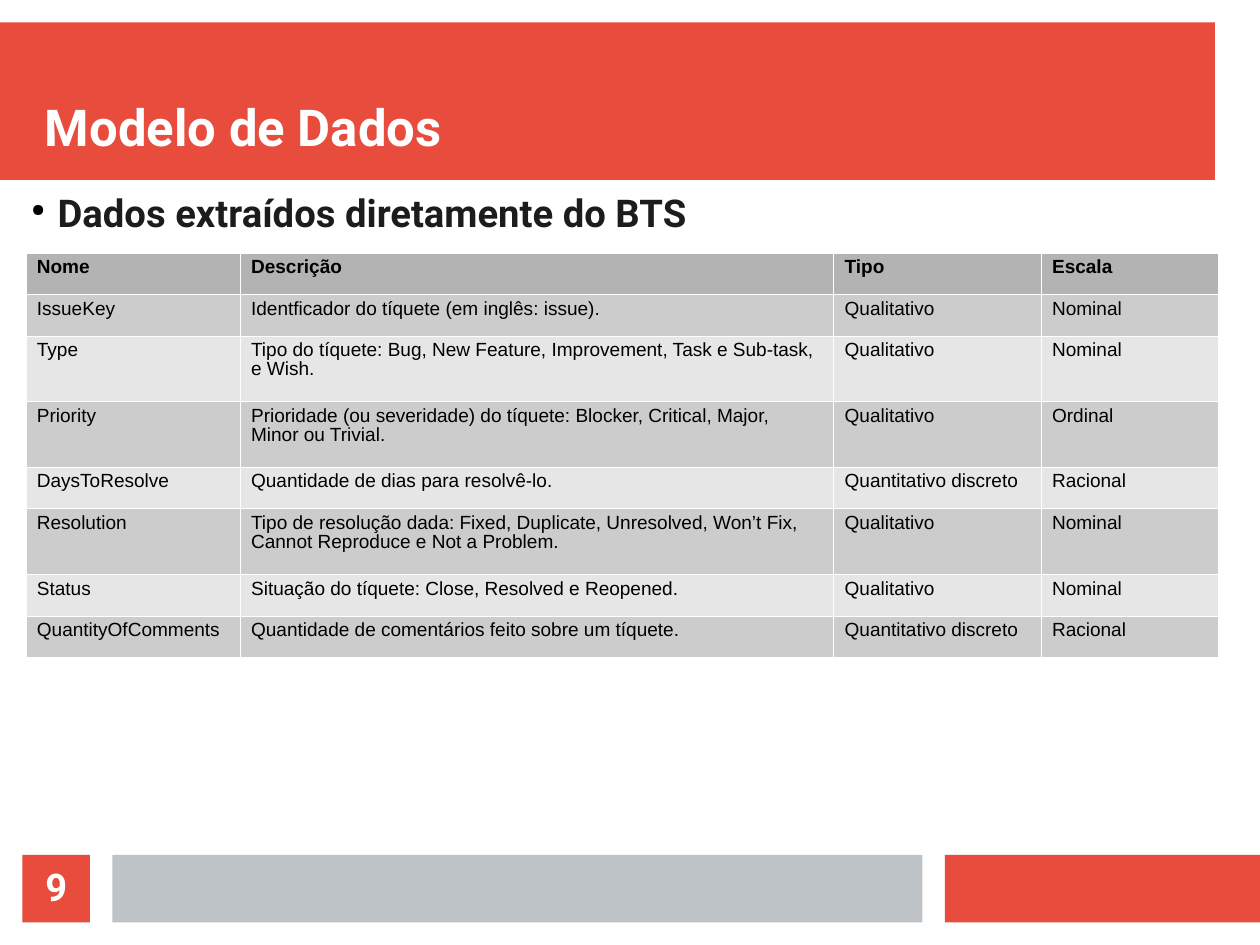
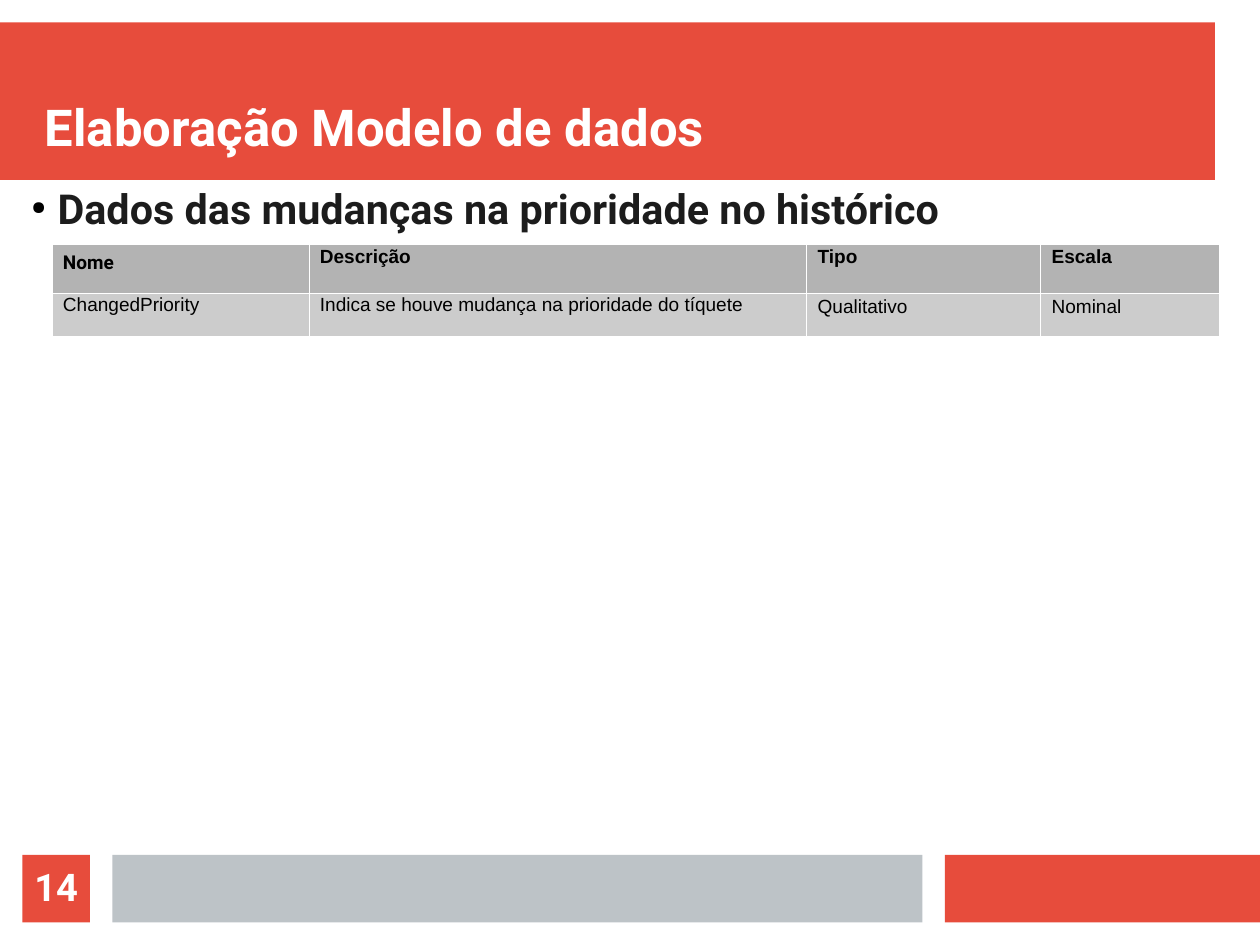
import pptx
import pptx.dml.color
import pptx.enum.shapes
import pptx.enum.text
import pptx.oxml
import pptx.oxml.ns
import pptx.util

Cm, Pt = pptx.util.Cm, pptx.util.Pt
ANCHOR = pptx.enum.text.MSO_ANCHOR
ALIGN = pptx.enum.text.PP_ALIGN

COLORS = {
    "accent": "E74C3C", "footer": "BDC3C7", "white": "FFFFFF",
    "black": "000000", "topic": "1C1C1C",
    "header": "B3B3B3", "odd": "CCCCCC", "even": "E6E6E6",
}
FORMATS = {
    "title": {"name": "Roboto", "size": Pt(32), "bold": True},
    "topic": {"name": "Roboto", "size": Pt(24.1), "bold": True},
    "number": {"name": "Roboto", "size": Pt(24), "bold": True},
    "header": {"name": "Arial", "size": Pt(12), "bold": True},
    "cell": {"name": "Arial", "size": Pt(12), "bold": False},
}


def color(key):
    return pptx.dml.color.RGBColor.from_string(COLORS[key])


def assign(target, values):
    for attribute, value in values.items():
        setattr(target, attribute, value)


def xml(tag, attributes="", inner=""):
    namespace = pptx.oxml.ns.nsdecls("a")
    return pptx.oxml.parse_xml(f"<a:{tag} {namespace} {attributes}>{inner}</a:{tag}>")


class Deck:
    """Holds the shared style and the slide being filled."""

    def __init__(self):
        self.prs = pptx.Presentation()
        assign(self.prs, {"slide_width": Cm(28), "slide_height": Cm(21)})
        self.slide = None

    def start(self, title, number):
        """Begin a slide with its bands, title and number."""
        self.slide = self.prs.slides.add_slide(self.prs.slide_layouts[6])
        self.band(0, 0.5, 27, 3.5, "accent")
        self.band(21, 19, 7, 1.5, "accent")
        self.band(2.5, 19, 18, 1.5, "footer")
        badge = self.band(0.5, 19, 1.5, 1.5, "accent")
        self.frame(badge, ANCHOR.MIDDLE)
        self.text(badge.text_frame, str(number), FORMATS["number"], "white",
                  {"alignment": ALIGN.CENTER, "line_spacing": 0.93})
        heading = self.box(1, 1, 26, 2.5, ANCHOR.BOTTOM)
        self.text(heading, title, FORMATS["title"], "white", {"line_spacing": 0.93})

    def band(self, left, top, width, height, fill):
        band = self.slide.shapes.add_shape(
            pptx.enum.shapes.MSO_SHAPE.RECTANGLE,
            Cm(left), Cm(top), Cm(width), Cm(height))
        band.shadow.inherit = False
        band.fill.solid()
        band.fill.fore_color.rgb = color(fill)
        band.line.fill.background()
        return band

    def frame(self, shape, anchor, top=0):
        assign(shape.text_frame, {
            "word_wrap": True, "vertical_anchor": anchor, "margin_left": 0,
            "margin_right": 0, "margin_top": Cm(top), "margin_bottom": 0})
        return shape.text_frame

    def box(self, left, top, width, height, anchor=ANCHOR.TOP):
        shape = self.slide.shapes.add_textbox(Cm(left), Cm(top), Cm(width), Cm(height))
        return self.frame(shape, anchor, 0.07)

    def text(self, frame, words, font, ink, layout):
        paragraph = frame.paragraphs[0]
        assign(paragraph, layout)
        run = paragraph.add_run()
        run.text = words
        assign(run.font, font)
        run.font.color.rgb = color(ink)

    def topic(self, words, top, height, size, spacing):
        """Add the bulleted line above the table."""
        frame = self.box(0.7, top, 25.5, height)
        properties = frame.paragraphs[0]._p.get_or_add_pPr()
        indent = Cm(0.58)
        properties.set("marL", str(indent))
        properties.set("indent", str(-indent))
        for bullet in (xml("buClr", inner=f'<a:srgbClr val="{COLORS["black"]}"/>'),
                       xml("buSzPct", 'val="45000"'),
                       xml("buChar", 'char="●"')):
            properties.append(bullet)
        self.text(frame, words, {**FORMATS["topic"], "size": Pt(size)}, "topic",
                  {"line_spacing": spacing, "space_after": Pt(11.5)})

    def table(self, left, top, widths, heights, rows, spacing, exceptions=None):
        """Fill a table; exceptions map (row, column) to (font, spacing)."""
        table = self.slide.shapes.add_table(
            len(rows), len(widths), Cm(left), Cm(top),
            Cm(sum(widths)), Cm(sum(heights))).table
        for column, width in zip(table.columns, widths):
            column.width = Cm(width)
        for r, (entries, height) in enumerate(zip(rows, heights)):
            table.rows[r].height = Cm(height)
            fill = "header" if r == 0 else "odd" if r % 2 else "even"
            base = FORMATS["cell" if r else "header"]
            for c, words in enumerate(entries):
                font, lines = (exceptions or {}).get((r, c), ({}, spacing))
                cell = table.cell(r, c)
                self.borders(cell)
                cell.fill.solid()
                cell.fill.fore_color.rgb = color(fill)
                assign(cell, {"margin_left": Cm(0.25), "margin_right": Cm(0.25),
                              "margin_top": Cm(0.13), "margin_bottom": Cm(0.13)})
                self.text(cell.text_frame, words, {**base, **font}, "black",
                          {"line_spacing": lines})

    def borders(self, cell):
        properties = cell._tc.get_or_add_tcPr()
        ink = f'<a:solidFill><a:srgbClr val="{COLORS["white"]}"/></a:solidFill>'
        for side in "LRTB":
            properties.append(xml(f"ln{side}", f'w="{Pt(0.06)}"', ink))


HEADINGS = ("Nome", "Descrição", "Tipo", "Escala")
TRACKER_FIELDS = [
    HEADINGS,
    ("IssueKey", "Identficador do tíquete (em inglês: issue).",
     "Qualitativo", "Nominal"),
    ("Type", "Tipo do tíquete: Bug, New Feature, Improvement, Task e Sub-task, e Wish.",
     "Qualitativo", "Nominal"),
    ("Priority", "Prioridade (ou severidade) do tíquete: Blocker, Critical, Major, "
     "Minor ou Trivial.", "Qualitativo", "Ordinal"),
    ("DaysToResolve", "Quantidade de dias para resolvê-lo.",
     "Quantitativo discreto", "Racional"),
    ("Resolution", "Tipo de resolução dada: Fixed, Duplicate, Unresolved, Won’t Fix, "
     "Cannot Reproduce e Not a Problem.", "Qualitativo", "Nominal"),
    ("Status", "Situação do tíquete: Close, Resolved e Reopened.",
     "Qualitativo", "Nominal"),
    ("QuantityOfComments", "Quantidade de comentários feito sobre um tíquete.",
     "Quantitativo discreto", "Racional"),
]
HISTORY_FIELDS = [
    HEADINGS,
    ("ChangedPriority", "Indica se houve mudança na prioridade do tíquete",
     "Qualitativo", "Nominal"),
]


def main():
    deck = Deck()

    # Fields read from the tracker; long descriptions take two lines
    deck.start("Modelo de Dados", 9)
    heights = [1.46 if len(row[1]) > 60 else 0.92 for row in TRACKER_FIELDS]
    deck.table(0.57, 5.62, (4.76, 13.19, 4.61, 3.94), heights, TRACKER_FIELDS, 0.88)
    deck.topic("Dados extraídos diretamente do BTS", 4.3, 1.32, 24.1, 0.83)

    # Field read from the priority history
    deck.start("Elaboração Modelo de dados", 14)
    deck.table(1.15, 5.43, (5.71, 11.06, 5.2, 3.98), (1.08, 0.96), HISTORY_FIELDS, 0.76,
               {(0, 0): ({"name": "Roboto"}, 1.08),
                (1, 2): ({}, 0.88), (1, 3): ({}, 0.88)})
    deck.topic("Dados das mudanças na prioridade no histórico", 4.1, 2.4, 26, 0.93)

    deck.prs.save("out.pptx")


if __name__ == "__main__":
    main()
